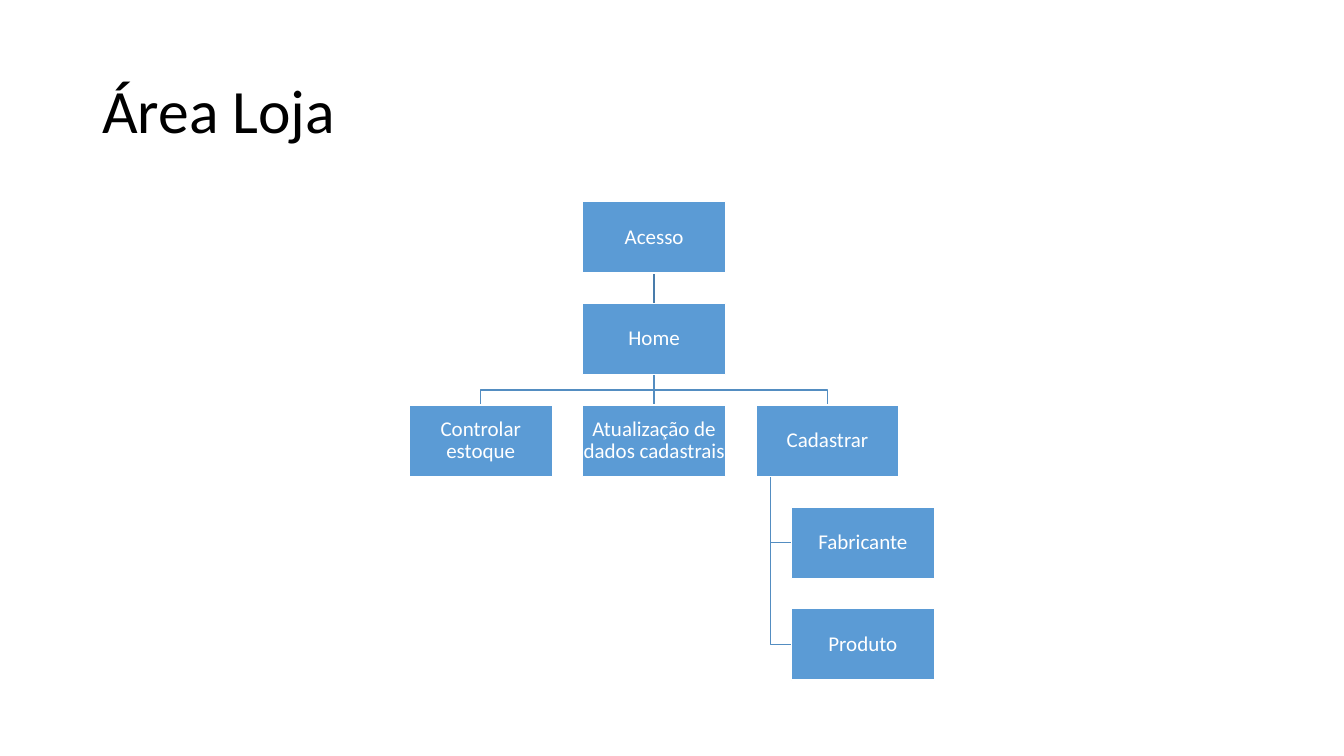
from lxml import etree
from pptx import Presentation
from pptx.dml.color import RGBColor
from pptx.enum.shapes import MSO_CONNECTOR, MSO_SHAPE
from pptx.enum.text import MSO_ANCHOR, PP_ALIGN
from pptx.oxml.ns import qn
from pptx.util import Cm, Pt

STRAIGHT = MSO_CONNECTOR.STRAIGHT
RECTANGLE = MSO_SHAPE.RECTANGLE
MIDDLE = MSO_ANCHOR.MIDDLE
LEFT, CENTER = PP_ALIGN.LEFT, PP_ALIGN.CENTER

BLACK = RGBColor(0x00, 0x00, 0x00)
WHITE = RGBColor(0xFF, 0xFF, 0xFF)
BLUE = RGBColor(0x5B, 0x9B, 0xD5)
LINK_BLUE = RGBColor(0x53, 0x8D, 0xC1)
TOP_LINK_BLUE = RGBColor(0x49, 0x7C, 0xAB)

# Chart grid, in centimetres
BOX_W, BOX_H = 3.61, 1.8
COLUMNS = [10.31 + 4.37 * i for i in range(3)]
ROWS = [5.08 + 2.565 * i for i in range(5)]
SUB_LEFT = COLUMNS[2] + 0.89

prs = Presentation()
prs.slide_width, prs.slide_height = Cm(33.87), Cm(19.05)
slide = prs.slides.add_slide(prs.slide_layouts[6])


def write(shape, text, size, color, alignment):
    frame = shape.text_frame
    frame.word_wrap = True
    frame.vertical_anchor = MIDDLE
    paragraph = frame.paragraphs[0]
    paragraph.text = text
    paragraph.alignment = alignment
    paragraph.line_spacing = 0.9
    font = paragraph.runs[0].font
    font.name, font.size, font.color.rgb = "Calibri", Pt(size), color
    return frame


def link(points, color=LINK_BLUE):
    points = [(Cm(x), Cm(y)) for x, y in points]
    if len(points) == 2:
        line = slide.shapes.add_connector(STRAIGHT, *points[0], *points[1])
        etree.SubElement(line._element.spPr, qn("a:effectLst"))
    else:
        builder = slide.shapes.build_freeform(*points[0])
        builder.add_line_segments(points[1:], close=False)
        line = builder.convert_to_shape()
        line.fill.background()
        line.shadow.inherit = False
    line.line.color.rgb = color
    line.line.width = Pt(1)


# Title
title = slide.shapes.add_textbox(Cm(2.33), Cm(1.01), Cm(29.21), Cm(3.68))
write(title, "Área Loja", 44, BLACK, LEFT)

# Links from Cadastrar to its sub-items
stem_x = COLUMNS[2] + BOX_W / 10
for row in ROWS[3:]:
    middle_y = row + BOX_H / 2
    link([(stem_x, ROWS[2] + BOX_H), (stem_x, middle_y), (SUB_LEFT, middle_y)])

# Links from Home to the three areas
centers = [column + BOX_W / 2 for column in COLUMNS]
home_x, home_bottom = centers[1], ROWS[1] + BOX_H
branch_y = (home_bottom + ROWS[2]) / 2
for x in (centers[0], centers[2]):
    link([(home_x, home_bottom), (home_x, branch_y), (x, branch_y), (x, ROWS[2])])
link([(home_x, home_bottom), (home_x, ROWS[2])])

# Link from Acesso to Home
link([(home_x, ROWS[0] + BOX_H), (home_x, ROWS[1])], TOP_LINK_BLUE)

# Boxes
boxes = [
    ("Acesso", COLUMNS[1], ROWS[0]),
    ("Home", COLUMNS[1], ROWS[1]),
    ("Controlar estoque", COLUMNS[0], ROWS[2]),
    ("Atualização de dados cadastrais", COLUMNS[1], ROWS[2]),
    ("Cadastrar", COLUMNS[2], ROWS[2]),
    ("Fabricante", SUB_LEFT, ROWS[3]),
    ("Produto", SUB_LEFT, ROWS[4]),
]
for label, left, top in boxes:
    box = slide.shapes.add_shape(RECTANGLE, Cm(left), Cm(top), Cm(BOX_W), Cm(BOX_H))
    box.shadow.inherit = False
    box.fill.solid()
    box.fill.fore_color.rgb = BLUE
    box.line.color.rgb = WHITE
    box.line.width = Pt(1)
    frame = write(box, label, 15, WHITE, CENTER)
    frame.margin_left = frame.margin_right = Cm(0.02)
    frame.margin_top = frame.margin_bottom = Cm(0.02)

prs.save("out.pptx")
